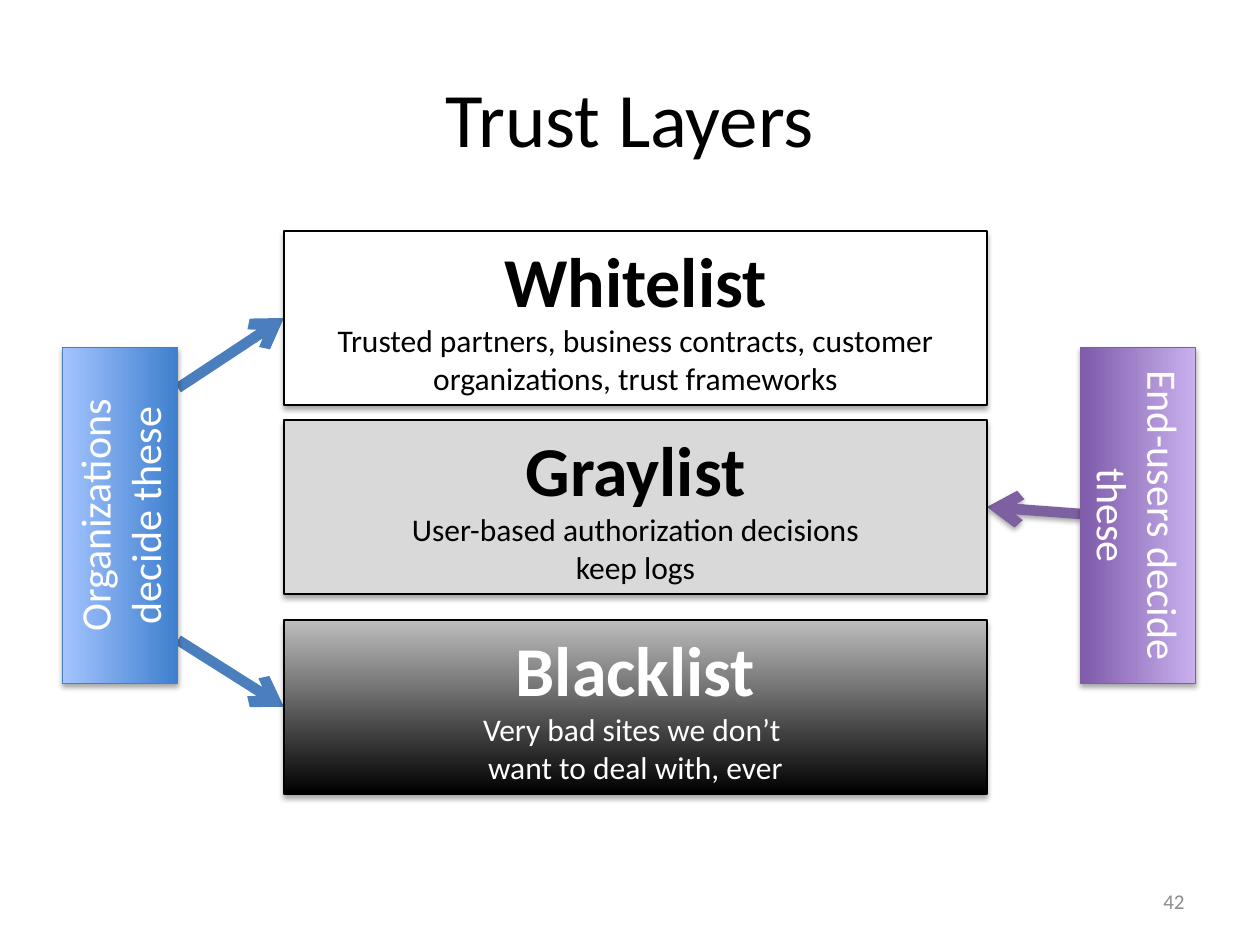
from lxml import etree
from pptx import Presentation, util as u
from pptx.dml.color import RGBColor
from pptx.enum import shapes, text
from pptx.oxml.ns import qn

PX = 914400 // 126
LEFT, WIDE, HIGH = 284, 703, 174
LONG, THICK, MID = 336, 115, 515

layers = [
    (231, ["FFFFFF"], "000000", "Whitelist",
     ["Trusted partners, business contracts, customer organizations, trust frameworks"]),
    (420, ["D9D9D9"], "000000", "Graylist",
     ["User-based authorization decisions", "keep logs"]),
    (620, ["000000", "BDBDBD"], "FFFFFF", "Blacklist",
     ["Very bad sites we don’t ", "want to deal with, ever"]),
]
roles = [
    (120, 270, ["3F80CE", "A4C4FF"], "4B7EBC", "Organizations decide these"),
    (1138, 90, ["7F5BAB", "C8B0ED"], "7D60A0", "End-users decide these"),
]
arrows = [
    (1081, 514, 987, 507, "7D60A0", True),
    (178, 388, LEFT, 318, "4B7EBC", False),
    (178, 640, LEFT, 707, "4B7EBC", False),
]
labels = [
    ((63, 38, 1134, 158), "Trust Layers", 44, "000000", text.PP_ALIGN.CENTER),
    ((903, 876, 294, 50), "42", 12, "8C8C8C", text.PP_ALIGN.RIGHT),
]


def px(*vals):
    return [u.Emu(v * PX) for v in vals]


def rgb(code):
    return RGBColor.from_string(code)


def shade(shape, shown=True):
    props = shape._element.spPr
    list_ = etree.SubElement(props, qn("a:effectLst"))
    if shown:
        cast = etree.SubElement(list_, qn("a:outerShdw"), blurRad=str(u.Pt(3.1)),
                                dist=str(u.Pt(1.8)), dir="5400000", rotWithShape="0")
        tone = etree.SubElement(cast, qn("a:srgbClr"), val="000000")
        etree.SubElement(tone, qn("a:alpha"), val="35000")


def write(shape, lines, color, align, anchor):
    frame = shape.text_frame
    frame.word_wrap = True
    frame.vertical_anchor = anchor
    frame.text = "\n".join(line for line, size, bold in lines)
    for para, (line, size, bold) in zip(frame.paragraphs, lines):
        para.alignment = align
        font = para.runs[0].font
        font.name, font.size, font.bold = "Calibri", u.Pt(size), bold
        font.color.rgb = rgb(color)


def block(area, fills, edge, lines, color, turn=0):
    shape = slide.shapes.add_shape(shapes.MSO_SHAPE.RECTANGLE, *px(*area))
    shape.rotation = turn
    if len(fills) == 1:
        shape.fill.solid()
        shape.fill.fore_color.rgb = rgb(fills[0])
    else:
        shape.fill.gradient()
        shape.fill.gradient_angle = 90
        for stop, code in zip(shape.fill.gradient_stops, fills):
            stop.color.rgb = rgb(code)
    shape.line.color.rgb = rgb(edge)
    shape.line.width = u.Pt(0.75)
    shade(shape)
    write(shape, lines, color, text.PP_ALIGN.CENTER, text.MSO_ANCHOR.TOP)


deck = Presentation()
deck.slide_width, deck.slide_height = u.Inches(10), u.Inches(7.5)
slide = deck.slides.add_slide(deck.slide_layouts[6])

for x1, y1, x2, y2, color, shown in arrows:
    arrow = slide.shapes.add_connector(shapes.MSO_CONNECTOR.STRAIGHT, *px(x1, y1, x2, y2))
    arrow.line.color.rgb = rgb(color)
    arrow.line.width = u.Pt(6)
    etree.SubElement(arrow.line._get_or_add_ln(), qn("a:tailEnd"), type="arrow")
    shade(arrow, shown)

for top, fills, color, name, notes in layers:
    lines = [(name, 40, True)] + [(note, 18, False) for note in notes]
    block((LEFT, top, WIDE, HIGH), fills, "000000", lines, color)

for mid, turn, fills, edge, name in roles:
    area = (mid - LONG // 2, MID - THICK // 2, LONG, THICK)
    block(area, fills, edge, [(name, 24, False)], "FFFFFF", turn)

for area, words, size, color, align in labels:
    box = slide.shapes.add_textbox(*px(*area))
    write(box, [(words, size, False)], color, align, text.MSO_ANCHOR.MIDDLE)

deck.save("out.pptx")
